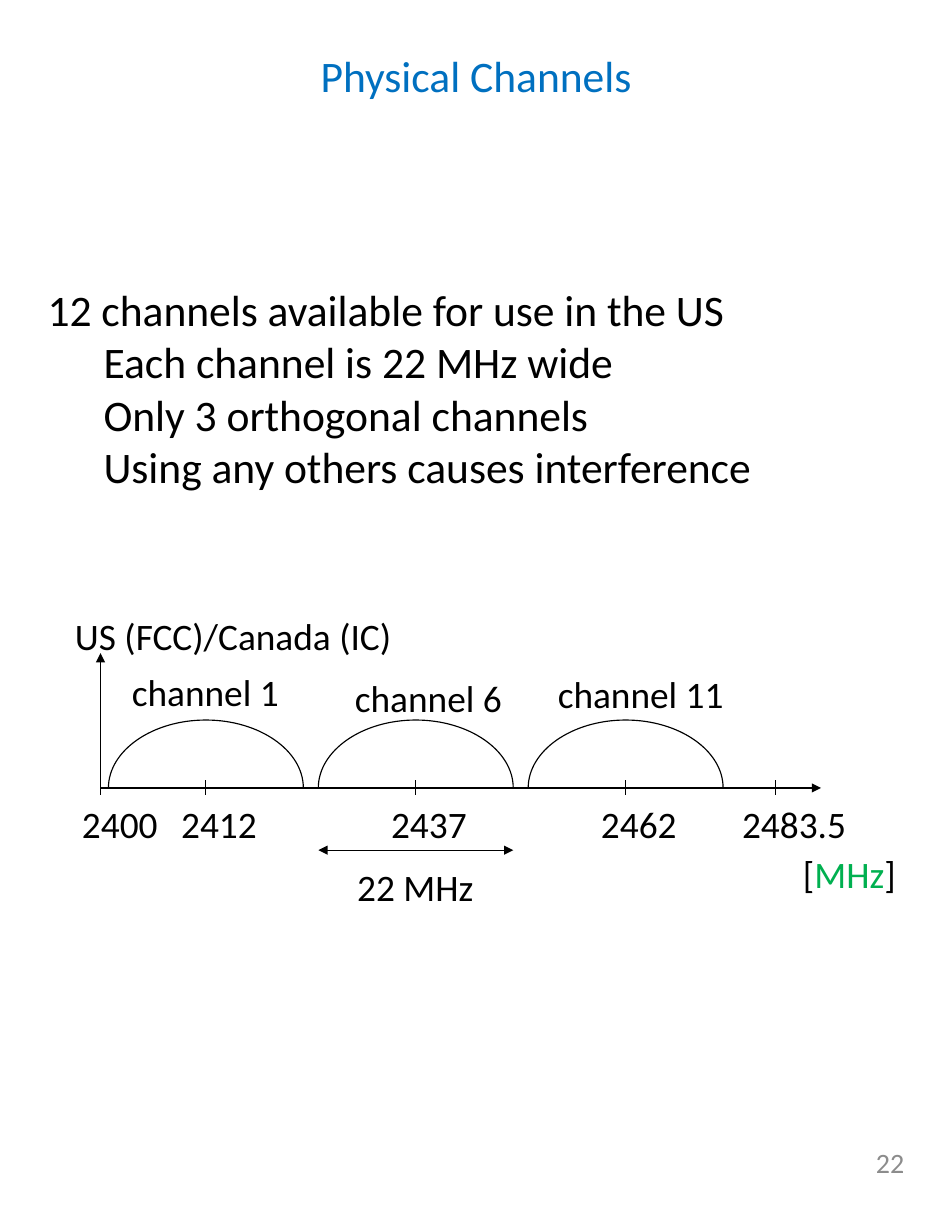
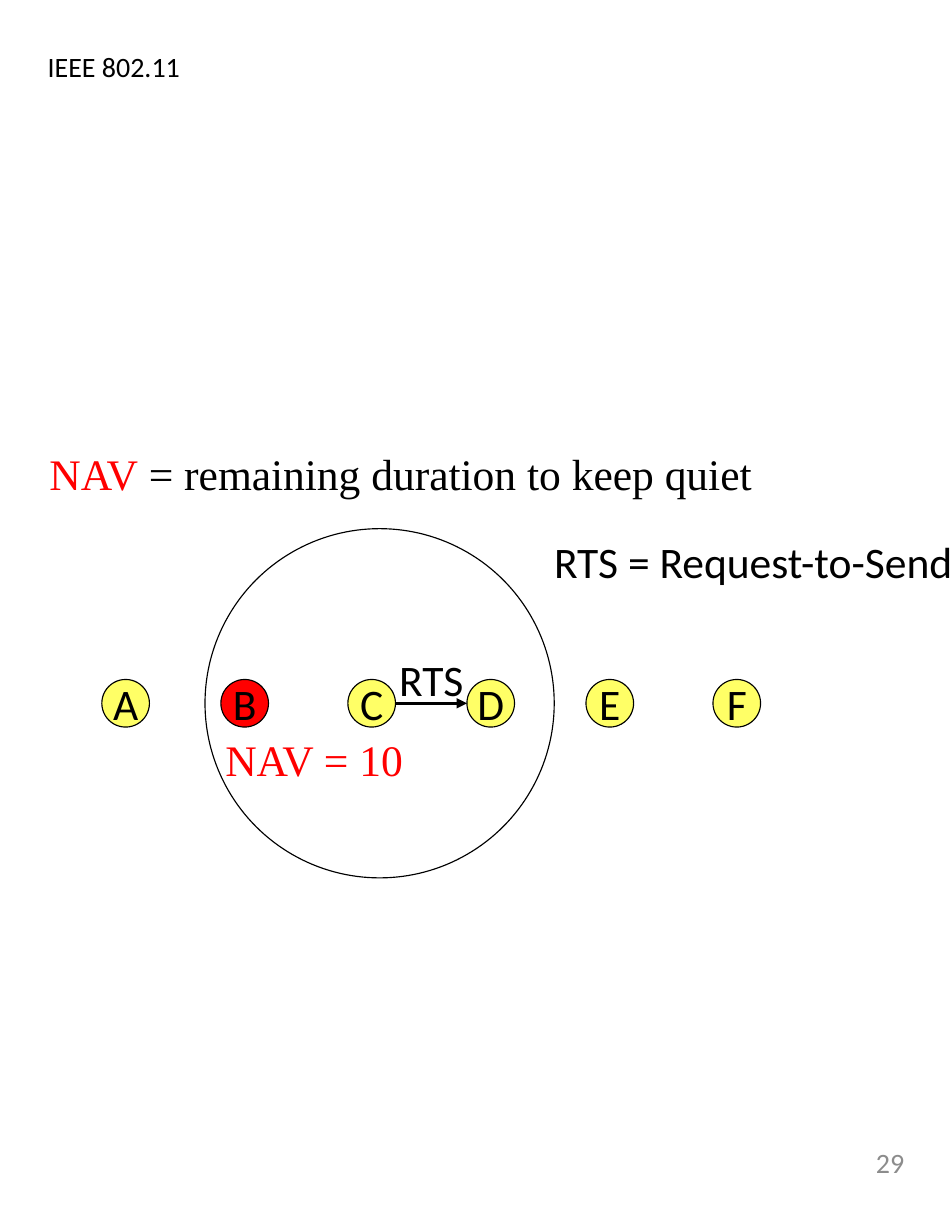
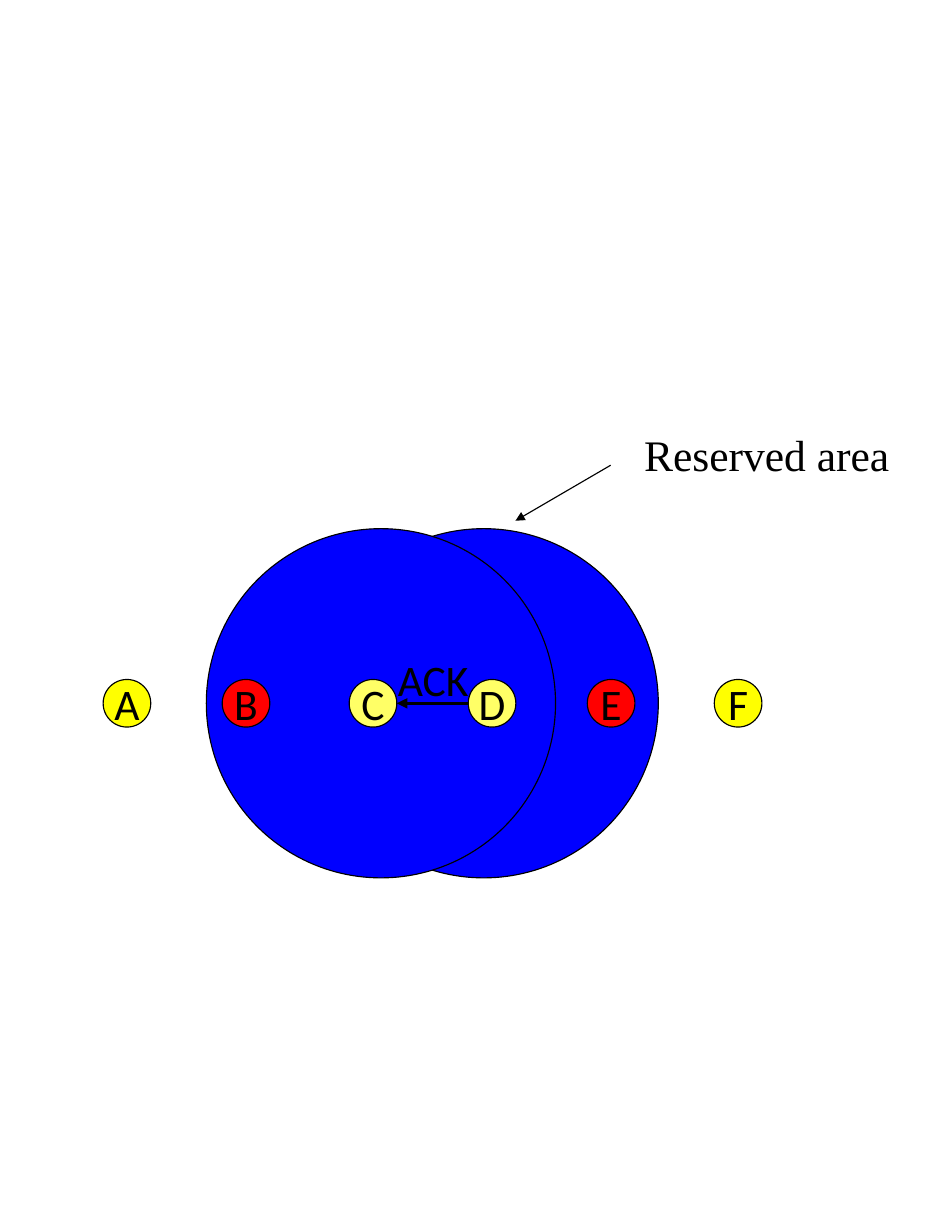
import math

from lxml import etree
from pptx import Presentation
from pptx.dml.color import RGBColor
from pptx.enum.shapes import MSO_CONNECTOR, MSO_SHAPE
from pptx.enum.text import MSO_ANCHOR, MSO_AUTO_SIZE, PP_ALIGN
from pptx.oxml.ns import qn
from pptx.util import Cm, Pt

STRAIGHT, OVAL = MSO_CONNECTOR.STRAIGHT, MSO_SHAPE.OVAL
LEFT, CENTER, RIGHT = PP_ALIGN.LEFT, PP_ALIGN.CENTER, PP_ALIGN.RIGHT
TOP, MIDDLE = MSO_ANCHOR.TOP, MSO_ANCHOR.MIDDLE
GROW = MSO_AUTO_SIZE.SHAPE_TO_FIT_TEXT
TITLE_ONLY, BLANK = 5, 6

COLORS = {"black": "000000", "title": "0070C0", "green": "00B050", "red": "FF0000",
          "pale": "FFFF66", "yellow": "FFFF00", "blue": "0000FF", "gray": "8C8C8C"}
SANS, SERIF = "Calibri", "Times New Roman"
MARGIN, CONTENT_W = 1.08, 19.43
LABEL_H, BIG_LABEL_H = 1.27, 1.45

# Slide 1: (text, indent in cm)
CHANNEL_FACTS = [("12 channels available for use in the US", 0),
                 ("Each channel is 22 MHz wide", 1.27),
                 ("Only 3 orthogonal channels", 1.27),
                 ("Using any others causes interference", 1.27)]
AXIS_X, AXIS_Y, AXIS_END, AXIS_TOP = 2.28, 17.87, 18.62, 14.81
CHANNEL_X, CHANNEL_STEP = 4.67, 4.76
CHANNEL_HALF_W, CHANNEL_H, TICK_HALF = 2.21, 1.54, 0.17
FREQUENCY_Y = 18.05
CURVE = 0.55  # Bezier handle length of a quarter ellipse
# (name, name left, name top, name width, frequency)
CHANNELS = [("channel 1", 2.74, 15.06, 3.89, "2412"),
            ("channel 6", 7.8, 15.19, 3.89, "2437"),
            ("channel 11", 12.4, 15.1, 4.32, "2462")]
# (frequency, tick x, label left, label width)
BAND_EDGES = [("2400", AXIS_X, 1.61, 2.24), ("2483.5", 17.59, 16.58, 2.9)]

# Slides 2 and 3
NODE_X = {"A": 2.85, "B": 5.55, "C": 8.43, "D": 11.13, "E": 13.83, "F": 16.71}
NODE_Y, NODE_D, RANGE_D = 15.95, 1.08, 7.92
RTS_FILLS = dict.fromkeys(NODE_X, "pale") | {"B": "red"}
ACK_FILLS = {"A": "yellow", "B": "red", "C": "pale", "D": "pale", "E": "red", "F": "yellow"}


def rgb(name):
    return RGBColor.from_string(COLORS[name])


def add_run(p, text, size, color="black", font=SANS):
    r = p.add_run()
    r.text = text
    r.font.size, r.font.name, r.font.bold = Pt(size), font, False
    r.font.color.rgb = rgb(color)


def no_margins(tf):
    tf.margin_left = tf.margin_right = tf.margin_top = tf.margin_bottom = 0
    tf.word_wrap = True
    tf.vertical_anchor = TOP


def add_label(s, x, y, w, h, *runs, size=24, align=LEFT, font=SANS):
    """One unwrapped line of (text, color) runs."""
    tf = s.shapes.add_textbox(Cm(x), Cm(y), Cm(w), Cm(h)).text_frame
    tf.word_wrap, tf.auto_size = False, GROW
    p = tf.paragraphs[0]
    p.alignment = align
    for text, color in runs:
        add_run(p, text, size, color, font)


def add_block(s, x, y, w, h):
    tf = s.shapes.add_textbox(Cm(x), Cm(y), Cm(w), Cm(h)).text_frame
    no_margins(tf)
    return tf


def add_title(s, text, h, size, color, align):
    sp = s.shapes.title
    sp.left, sp.top, sp.width, sp.height = Cm(MARGIN), Cm(1.12), Cm(CONTENT_W), Cm(h)
    tf = sp.text_frame
    no_margins(tf)
    tf.auto_size = GROW
    p = tf.paragraphs[0]
    p.alignment = align
    add_run(p, text, size, color)


def add_page_number(s, number):
    p = add_block(s, 15.53, 25.98, 4.98, 1.4).paragraphs[0]
    p.alignment = RIGHT
    add_run(p, number, 18, "gray")


def style_outline(sp, fill=None):
    sp.shadow.inherit = False
    sp.line.color.rgb, sp.line.width = rgb("black"), Pt(0.75)
    if fill:
        sp.fill.solid()
        sp.fill.fore_color.rgb = rgb(fill)
    else:
        sp.fill.background()


def add_line(s, x1, y1, x2, y2, width=0.75, ends=()):
    """ends holds "headEnd" and/or "tailEnd" for arrowheads at start and end."""
    c = s.shapes.add_connector(STRAIGHT, Cm(x1), Cm(y1), Cm(x2), Cm(y2))
    c.line.color.rgb, c.line.width = rgb("black"), Pt(width)
    ln = c.line._get_or_add_ln()
    for end in ends:
        etree.SubElement(ln, qn("a:" + end), type="triangle")
    etree.SubElement(c._element.spPr, qn("a:effectLst"))


def add_circle(s, x, y, d, fill=None):
    """A circle of diameter d centred on x, y."""
    sp = s.shapes.add_shape(OVAL, Cm(x - d / 2), Cm(y - d / 2), Cm(d), Cm(d))
    style_outline(sp, fill)
    return sp


def add_channel_arc(s, x):
    """Half an ellipse on the axis: two Bezier curves that meet at the top."""
    corners = [(-1, 0), (-1, CURVE), (-CURVE, 1), (0, 1), (CURVE, 1), (1, CURVE), (1, 0)]
    points = [(Cm(x + u * CHANNEL_HALF_W), Cm(AXIS_Y - v * CHANNEL_H)) for u, v in corners]
    fb = s.shapes.build_freeform(*points[0])
    fb.add_line_segments(points[1:], close=False)
    sp = fb.convert_to_shape()
    outline = next(sp._element.iter(qn("a:path")))
    segments = outline.findall(qn("a:lnTo"))
    for i in range(0, len(segments), 3):
        curve = etree.SubElement(outline, qn("a:cubicBezTo"))
        for segment in segments[i:i + 3]:
            curve.append(segment[0])
            outline.remove(segment)
    style_outline(sp)


def add_tick(s, x):
    add_line(s, x, AXIS_Y - TICK_HALF, x, AXIS_Y + TICK_HALF)


def add_nodes(s, fills, shift=0):
    for name, x in NODE_X.items():
        tf = add_circle(s, x + shift, NODE_Y, NODE_D, fills[name]).text_frame
        tf.word_wrap, tf.vertical_anchor = False, MIDDLE
        p = tf.paragraphs[0]
        p.alignment = CENTER
        add_run(p, name, 28)


def add_message(s, text, x, w, sender, receiver, shift=0):
    """A thick arrow between two neighbouring nodes, with its label above."""
    start, end = NODE_X[sender] + shift, NODE_X[receiver] + shift
    gap = math.copysign(NODE_D / 2, end - start)
    add_line(s, start + gap, NODE_Y, end - gap, NODE_Y, 2.25, ["tailEnd"])
    add_label(s, x, 14.68, w, BIG_LABEL_H, (text, "black"), size=28, align=CENTER)


def channels_slide(prs):
    s = prs.slides.add_slide(prs.slide_layouts[TITLE_ONLY])
    add_title(s, "Physical Channels", 1.19, 28, "title", CENTER)
    add_page_number(s, "22")
    tf = add_block(s, MARGIN, 6.42, CONTENT_W, 4.78)
    for i, (text, indent) in enumerate(CHANNEL_FACTS):
        p = tf.add_paragraph() if i else tf.paragraphs[0]
        if indent:
            p.level = 1
            p._p.get_or_add_pPr().set("marL", str(Cm(indent)))
        add_run(p, text, 28)

    add_label(s, 1.45, 13.79, 7.75, LABEL_H, ("US (FCC)/Canada (IC)", "black"))
    add_line(s, AXIS_X, AXIS_Y, AXIS_END, AXIS_Y, ends=["tailEnd"])
    add_line(s, AXIS_X, AXIS_Y, AXIS_X, AXIS_TOP, ends=["tailEnd"])
    for i, (name, left, top, width, frequency) in enumerate(CHANNELS):
        x = CHANNEL_X + i * CHANNEL_STEP
        add_channel_arc(s, x)
        add_tick(s, x)
        add_label(s, left, top, width, LABEL_H, (name, "black"))
        add_label(s, x - 0.81, FREQUENCY_Y, 2.24, LABEL_H, (frequency, "black"))
    for frequency, x, left, width in BAND_EDGES:
        add_tick(s, x)
        add_label(s, left, FREQUENCY_Y, width, LABEL_H, (frequency, "black"))
    middle = CHANNEL_X + CHANNEL_STEP
    add_line(s, middle - CHANNEL_HALF_W, 19.28, middle + CHANNEL_HALF_W, 19.28,
             ends=["headEnd", "tailEnd"])
    add_label(s, 7.85, 19.48, 3.18, LABEL_H, ("22 MHz", "black"))
    add_label(s, 17.96, 19.18, 2.64, LABEL_H,
              ("[", "black"), ("MHz", "green"), ("]", "black"))


def rts_slide(prs):
    s = prs.slides.add_slide(prs.slide_layouts[TITLE_ONLY])
    add_title(s, "IEEE 802.11", 0.76, 18, "black", LEFT)
    add_page_number(s, "29")
    add_nodes(s, RTS_FILLS)
    add_circle(s, 8.61, NODE_Y, RANGE_D)
    add_message(s, "RTS", 8.79, 1.98, "C", "D")
    add_label(s, 12.24, 12.01, 9.68, BIG_LABEL_H, ("RTS = Request-to-Send", "black"),
              size=28, align=CENTER)
    add_label(s, 4.86, 16.5, 4.6, BIG_LABEL_H, ("NAV = 10", "red"), size=28, font=SERIF)
    add_label(s, 0.87, 10.01, 16.59, BIG_LABEL_H, ("NAV", "red"),
              (" = remaining duration to keep quiet", "black"), size=28, font=SERIF)


def ack_slide(prs):
    s = prs.slides.add_slide(prs.slide_layouts[BLANK])
    shift = 0.03
    for x in (10.97, 8.64):
        add_circle(s, x, NODE_Y, RANGE_D, "blue")
    add_nodes(s, ACK_FILLS, shift)
    add_message(s, "ACK", 8.76, 2.13, "D", "C", shift)
    add_line(s, 13.85, 10.55, 11.69, 11.81, ends=["tailEnd"])
    add_label(s, 14.36, 9.58, 6.12, BIG_LABEL_H, ("Reserved area", "black"),
              size=28, font=SERIF)


def main():
    prs = Presentation()
    prs.slide_width, prs.slide_height = Cm(21.59), Cm(27.94)
    channels_slide(prs)
    rts_slide(prs)
    ack_slide(prs)
    prs.save("out.pptx")


if __name__ == "__main__":
    main()
